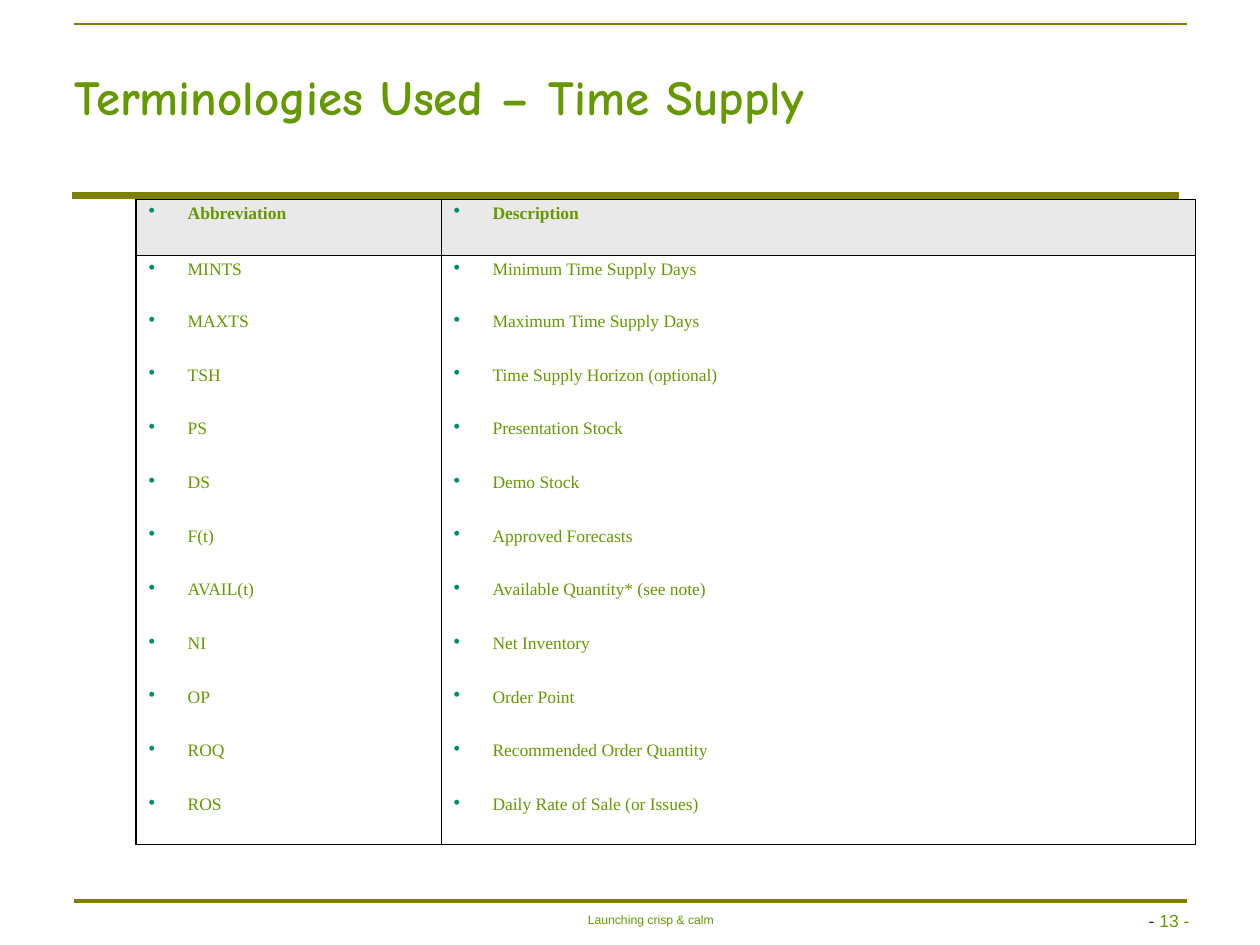
from dataclasses import dataclass

import pptx
import pptx.dml.color
import pptx.enum.shapes
import pptx.enum.text
import pptx.oxml
import pptx.oxml.ns
import pptx.util
from pptx.util import Inches

ALIGN = pptx.enum.text.PP_ALIGN
ANCHOR = pptx.enum.text.MSO_ANCHOR


@dataclass(frozen=True)
class Theme:
    green: str = "669900"
    olive: str = "808000"
    navy: str = "00279F"
    bullet: str = "008F6D"
    header: str = "E9E9E9"
    border: str = "000000"
    title_font: str = "Comic Neue"
    table_font: str = "Times New Roman"
    foot_font: str = "Arial"
    title_size: float = 28
    text_size: float = 10
    foot_size: float = 7
    thick: float = 0.96
    thin: float = 0.45


THEME = Theme()

TERMS = [
    ("Abbreviation", "Description"),
    ("MINTS", "Minimum Time Supply Days"),
    ("MAXTS", "Maximum Time Supply Days"),
    ("TSH", "Time Supply Horizon (optional)"),
    ("PS", "Presentation Stock"),
    ("DS", "Demo Stock"),
    ("F(t)", "Approved Forecasts"),
    ("AVAIL(t)", "Available Quantity* (see note)"),
    ("NI", "Net Inventory"),
    ("OP", "Order Point"),
    ("ROQ", "Recommended Order Quantity"),
    ("ROS", "Daily Rate of Sale (or Issues)"),
]


def rgb(color):
    return pptx.dml.color.RGBColor.from_string(color)


def xml(markup):
    return pptx.oxml.parse_xml(
        markup.replace(" ", f" {pptx.oxml.ns.nsdecls('a')} ", 1))


def add_run(p, text, font, size, color=THEME.green, bold=False):
    r = p.add_run()
    r.text = text
    r.font.name = font
    r.font.size = pptx.util.Pt(size)
    r.font.bold = bold
    r.font.color.rgb = rgb(color)


def set_frame(tf, anchor, x_inset, y_inset, wrap=True):
    tf.auto_size = pptx.enum.text.MSO_AUTO_SIZE.NONE
    tf.word_wrap = wrap
    tf.vertical_anchor = anchor
    tf.margin_left = tf.margin_right = Inches(x_inset)
    tf.margin_top = tf.margin_bottom = Inches(y_inset)


def add_rule(s, left, right, y, width):
    line = s.shapes.add_connector(
        pptx.enum.shapes.MSO_CONNECTOR.STRAIGHT,
        Inches(left), Inches(y), Inches(right), Inches(y))
    line.line.color.rgb = rgb(THEME.olive)
    line.line.width = pptx.util.Pt(width)
    line._element.spPr.append(xml("<a:effectLst />"))


def set_title(s, text):
    sp = s.shapes.title
    sp.left, sp.top = Inches(0.52), Inches(0.36)
    sp.width, sp.height = Inches(7.41), Inches(0.85)
    set_frame(sp.text_frame, ANCHOR.MIDDLE, 0.07, 0.03)
    p = sp.text_frame.paragraphs[0]
    p.alignment = ALIGN.LEFT
    p.line_spacing = 0.97
    add_run(p, text, THEME.title_font, THEME.title_size, bold=True)


def add_footer(s):
    sp = s.shapes.add_textbox(
        Inches(4.66), Inches(7.25), Inches(1.01), Inches(0.11))
    set_frame(sp.text_frame, ANCHOR.TOP, 0, 0, wrap=False)
    p = sp.text_frame.paragraphs[0]
    p.alignment = ALIGN.CENTER
    p.line_spacing = 0.9
    add_run(p, "Launching crisp & calm", THEME.foot_font, THEME.foot_size)


def add_page_number(s):
    sp = s.shapes.add_textbox(
        Inches(8.95), Inches(6.86), Inches(0.56), Inches(0.56))
    set_frame(sp.text_frame, ANCHOR.BOTTOM, 0.07, 0.03)
    p = sp.text_frame.paragraphs[0]
    p.alignment = ALIGN.RIGHT
    add_run(p, "- ", THEME.foot_font, THEME.text_size, THEME.navy)
    add_run(p, "13 -", THEME.foot_font, THEME.text_size)


def set_bullet(p):
    pPr = p._p.get_or_add_pPr()
    pPr.set("marL", str(Inches(0.31)))
    pPr.set("indent", str(-Inches(0.31)))
    for markup in (
        f'<a:buClr ><a:srgbClr val="{THEME.bullet}"/></a:buClr>',
        '<a:buSzPct val="110000"/>',
        '<a:buChar char="•"/>',
    ):
        pPr.append(xml(markup))


def set_borders(cell, widths):
    """Draw the left, right, top and bottom borders; zero means none."""
    tcPr = cell._tc.get_or_add_tcPr()
    for i, (side, width) in enumerate(zip("LRTB", widths)):
        paint = (f'<a:solidFill><a:srgbClr val="{THEME.border}"/></a:solidFill>'
                 if width else "<a:noFill/>")
        tcPr.insert(i, xml(
            f'<a:ln{side} w="{pptx.util.Pt(width)}">{paint}</a:ln{side}>'))


def fill_cell(cell, text, header):
    cell.margin_left = cell.margin_right = Inches(0.1)
    cell.margin_top = cell.margin_bottom = Inches(0.05)
    cell.vertical_anchor = ANCHOR.TOP
    if header:
        cell.fill.solid()
        cell.fill.fore_color.rgb = rgb(THEME.header)
    else:
        cell.fill.background()
    p = cell.text_frame.paragraphs[0]
    p.line_spacing = 0.9
    set_bullet(p)
    add_run(p, text, THEME.table_font, THEME.text_size, bold=header)


def add_terms_table(s):
    height, top_rows = 5.12, [0.45, 0.41]
    rest = len(TERMS) - len(top_rows)
    heights = top_rows + [(height - sum(top_rows)) / rest] * rest
    frame = s.shapes.add_table(len(TERMS), 2, Inches(1.08), Inches(1.58),
                               Inches(8.41), Inches(height))
    table = frame.table
    table.first_row = table.horz_banding = False
    for column, width in zip(table.columns, (2.42, 5.99)):
        column.width = Inches(width)

    last = len(TERMS) - 1
    for i, row in enumerate(TERMS):
        table.rows[i].height = Inches(heights[i])
        top = THEME.thin if i <= 1 else 0
        bottom = THEME.thin if i in (0, last) else 0
        for j, text in enumerate(row):
            cell = table.cell(i, j)
            fill_cell(cell, text, header=i == 0)
            sides = ((THEME.thick, THEME.thin), (THEME.thin, THEME.thick))[j]
            set_borders(cell, (*sides, top, bottom))


def main():
    prs = pptx.Presentation()
    prs.slide_width, prs.slide_height = Inches(10), Inches(7.5)
    s = prs.slides.add_slide(prs.slide_layouts[5])

    # Rules that frame the page
    add_rule(s, 0.57, 9.36, 1.55, 4)
    add_rule(s, 0.59, 9.42, 0.19, 1)
    add_rule(s, 0.59, 9.42, 7.15, 2)

    # Footer
    add_page_number(s)
    add_footer(s)

    # Title and glossary
    set_title(s, "Terminologies Used – Time Supply")
    add_terms_table(s)

    prs.save("out.pptx")


if __name__ == "__main__":
    main()
